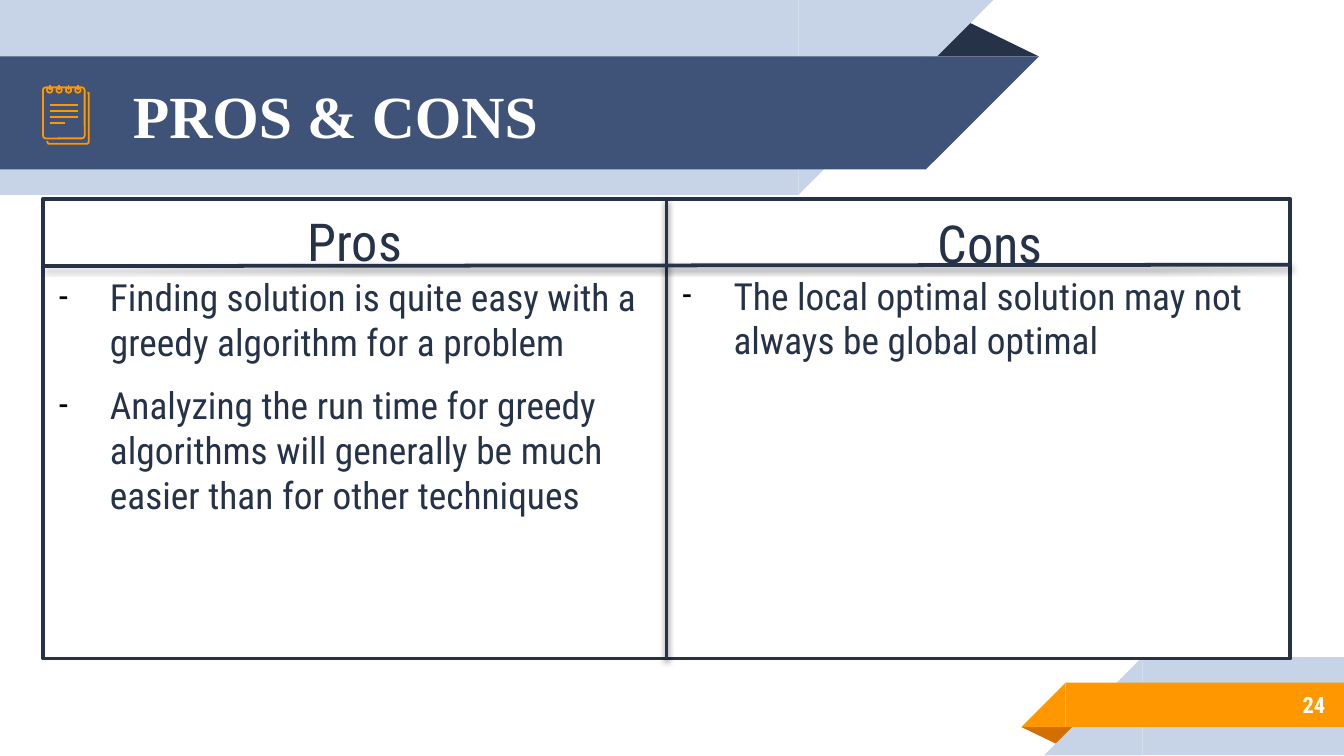
from dataclasses import dataclass

from lxml.etree import SubElement
from pptx import Presentation
from pptx.dml.color import RGBColor
from pptx.enum.shapes import MSO_CONNECTOR, MSO_SHAPE as Geo
from pptx.enum.text import MSO_ANCHOR, MSO_AUTO_SIZE, PP_ALIGN
from pptx.oxml.ns import qn
from pptx.util import Inches, Pt

NAVY = RGBColor(0x26, 0x32, 0x48)
BLUE = RGBColor(0x3F, 0x53, 0x78)
PALE = RGBColor(0xC7, 0xD3, 0xE6)
ORANGE = RGBColor(0xFF, 0x98, 0x00)
RUST = RGBColor(0xD2, 0x6F, 0x00)
WHITE = RGBColor(0xFF, 0xFF, 0xFF)

CONDENSED = "Roboto Condensed"
ICON_LINE = 0.96
FRAME_LINE = 2


@dataclass
class Block:
    """A filled piece of a ribbon."""
    geo: Geo
    x: float
    y: float
    w: float
    h: float
    fill: RGBColor
    rotation: int = 0
    flip: bool = False
    adj: float | None = None


@dataclass
class Font:
    size: float
    color: RGBColor = NAVY
    name: str = CONDENSED
    bold: bool = False


RIBBONS = [
    Block(Geo.ISOSCELES_TRIANGLE, 6.88, 0.14, 0.85, 0.28, NAVY, adj=0.324),
    Block(Geo.RECTANGLE, 0, 0, 5.94, 1.45, PALE, 180, True),
    Block(Geo.RIGHT_TRIANGLE, 5.94, 0, 1.45, 1.45, PALE, 180, True),
    Block(Geo.RECTANGLE, 0, 0.42, 6.89, 0.84, BLUE, 180, True),
    Block(Geo.RIGHT_TRIANGLE, 6.89, 0.42, 0.84, 0.84, BLUE, 180, True),
    Block(Geo.ISOSCELES_TRIANGLE, 7.6, 5.41, 0.43, 0.14, RUST, 180, adj=0.324),
    Block(Geo.RECTANGLE, 8.5, 4.89, 1.5, 0.73, PALE, flip=True),
    Block(Geo.RIGHT_TRIANGLE, 7.77, 4.89, 0.73, 0.73, PALE, flip=True),
    Block(Geo.RECTANGLE, 7.93, 5.08, 2.08, 0.33, ORANGE, flip=True),
    Block(Geo.RIGHT_TRIANGLE, 7.6, 5.08, 0.33, 0.33, ORANGE, flip=True),
]
BACK_PAGE = [(0.35, 1.05), (0.36, 1.07), (0.37, 1.07), (0.65, 1.07),
             (0.66, 1.06), (0.66, 1.05), (0.66, 0.7), (0.66, 0.69), (0.65, 0.69)]
PROS = ["Finding solution is quite easy with a greedy algorithm for a problem",
        "Analyzing the run time for greedy algorithms will generally be much "
        "easier than for other techniques"]
CONS = ["The local optimal solution may not always be global optimal"]


def add_block(s, b: Block) -> None:
    sp = s.shapes.add_shape(b.geo, Inches(b.x), Inches(b.y), Inches(b.w), Inches(b.h))
    sp.shadow.inherit = False
    sp.fill.solid()
    sp.fill.fore_color.rgb = b.fill
    sp.line.fill.background()
    sp.rotation = b.rotation
    if b.flip:
        sp.element.spPr.find(qn("a:xfrm")).set("flipH", "1")
    if b.adj is not None:
        sp.adjustments[0] = b.adj


def set_outline(sp, color: RGBColor, width: float) -> None:
    sp.line.color.rgb = color
    sp.line.width = Pt(width)


def add_outline(s, geo: Geo, x: float, y: float, w: float, h: float):
    """Add an unfilled icon shape."""
    sp = s.shapes.add_shape(geo, Inches(x), Inches(y), Inches(w), Inches(h))
    sp.shadow.inherit = False
    sp.fill.background()
    set_outline(sp, ORANGE, ICON_LINE)
    return sp


def add_line(s, x1: float, y1: float, x2: float, y2: float,
             color: RGBColor, width: float, shadow: bool = False):
    line = s.shapes.add_connector(MSO_CONNECTOR.STRAIGHT, Inches(x1), Inches(y1),
                                  Inches(x2), Inches(y2))
    set_outline(line, color, width)
    effects = SubElement(line.element.spPr, qn("a:effectLst"))
    if shadow:
        outer = SubElement(effects, qn("a:outerShdw"), blurRad=str(Pt(3.1)),
                           dist=str(Pt(1.6)), dir="5400000", rotWithShape="0")
        black = SubElement(outer, qn("a:srgbClr"), val="000000")
        SubElement(black, qn("a:alpha"), val="38000")
    return line


def add_notepad(s) -> None:
    points = [(Inches(x), Inches(y)) for x, y in BACK_PAGE]
    builder = s.shapes.build_freeform(*points[0])
    builder.add_line_segments(points[1:], close=False)
    back = builder.convert_to_shape()
    back.shadow.inherit = False
    back.fill.background()
    set_outline(back, ORANGE, ICON_LINE)
    front = add_outline(s, Geo.ROUNDED_RECTANGLE, 0.32, 0.65, 0.31, 0.38)
    front.adjustments[0] = 0.07
    for i, length in enumerate([0.21, 0.21, 0.21, 0.11]):
        y = 0.78 + 0.045 * i
        add_line(s, 0.37, y, 0.37 + length, y, ORANGE, ICON_LINE)
    for i in range(4):
        x = 0.37 + 0.07 * i
        add_outline(s, Geo.OVAL, x - 0.02, 0.65, 0.04, 0.04)
        add_line(s, x, 0.63, x, 0.67, ORANGE, ICON_LINE)


def add_text(s, x: float, y: float, w: float, h: float, texts: list[str], font: Font,
             inset: float = 0.05, anchor=MSO_ANCHOR.TOP, align=PP_ALIGN.LEFT,
             wrap: bool = True, after: float = 0, dashes: bool = False) -> None:
    tf = s.shapes.add_textbox(Inches(x), Inches(y), Inches(w), Inches(h)).text_frame
    tf.word_wrap = wrap
    tf.auto_size = MSO_AUTO_SIZE.NONE
    tf.vertical_anchor = anchor
    tf.margin_top = tf.margin_bottom = Inches(inset)
    tf.margin_left = tf.margin_right = Inches(0.1)
    for i, text in enumerate(texts):
        p = tf.add_paragraph() if i else tf.paragraphs[0]
        p.alignment = align
        p.space_after = Pt(after)
        if dashes:
            add_dash(p)
        r = p.add_run()
        r.text = text
        r.font.name = font.name
        r.font.size = Pt(font.size)
        r.font.bold = font.bold
        r.font.color.rgb = font.color


def add_dash(p) -> None:
    """Give the paragraph a black dash bullet with a hanging indent."""
    pPr = p._p.get_or_add_pPr()
    pPr.set("marL", str(Inches(0.38)))
    pPr.set("indent", str(Inches(-0.38)))
    color = SubElement(pPr, qn("a:buClr"))
    SubElement(color, qn("a:srgbClr"), val="000000")
    SubElement(pPr, qn("a:buFont"), typeface=CONDENSED)
    SubElement(pPr, qn("a:buChar"), char="-")


def add_comparison(s) -> None:
    frame = s.shapes.add_shape(Geo.RECTANGLE, Inches(0.32), Inches(1.48),
                               Inches(9.28), Inches(3.42))
    frame.shadow.inherit = False
    frame.fill.solid()
    frame.fill.fore_color.rgb = WHITE
    set_outline(frame, NAVY, FRAME_LINE)
    divider = add_line(s, 4.96, 1.48, 4.96, 4.9, NAVY, FRAME_LINE, shadow=True)
    divider.begin_connect(frame, 0)
    divider.end_connect(frame, 2)
    add_line(s, 0.33, 1.98, 9.61, 1.97, NAVY, FRAME_LINE, shadow=True)
    heading, body = Font(28), Font(20)
    add_text(s, 2.19, 1.51, 0.91, 0.57, ["Pros"], heading, wrap=False, after=10)
    add_text(s, 6.88, 1.52, 0.99, 0.57, ["Cons"], heading, wrap=False, after=10)
    add_text(s, 0.34, 1.99, 4.6, 1.92, PROS, body, after=10, dashes=True)
    add_text(s, 4.98, 1.98, 4.6, 0.77, CONS, body, after=10, dashes=True)


def main() -> None:
    prs = Presentation()
    prs.slide_width = Inches(10)
    prs.slide_height = Inches(10 * 9 / 16)
    s = prs.slides.add_slide(prs.slide_layouts[6])
    for block in RIBBONS:
        add_block(s, block)
    add_text(s, 0.89, 0.43, 5.75, 0.84, ["PROS & CONS"],
             Font(32, WHITE, "Times New Roman", True), 0.1, MSO_ANCHOR.MIDDLE)
    add_text(s, 8.33, 5.07, 1.63, 0.35, ["24"], Font(12, WHITE, bold=True),
             0.1, MSO_ANCHOR.MIDDLE, PP_ALIGN.RIGHT)
    add_notepad(s)
    add_comparison(s)
    prs.save("out.pptx")


if __name__ == "__main__":
    main()
